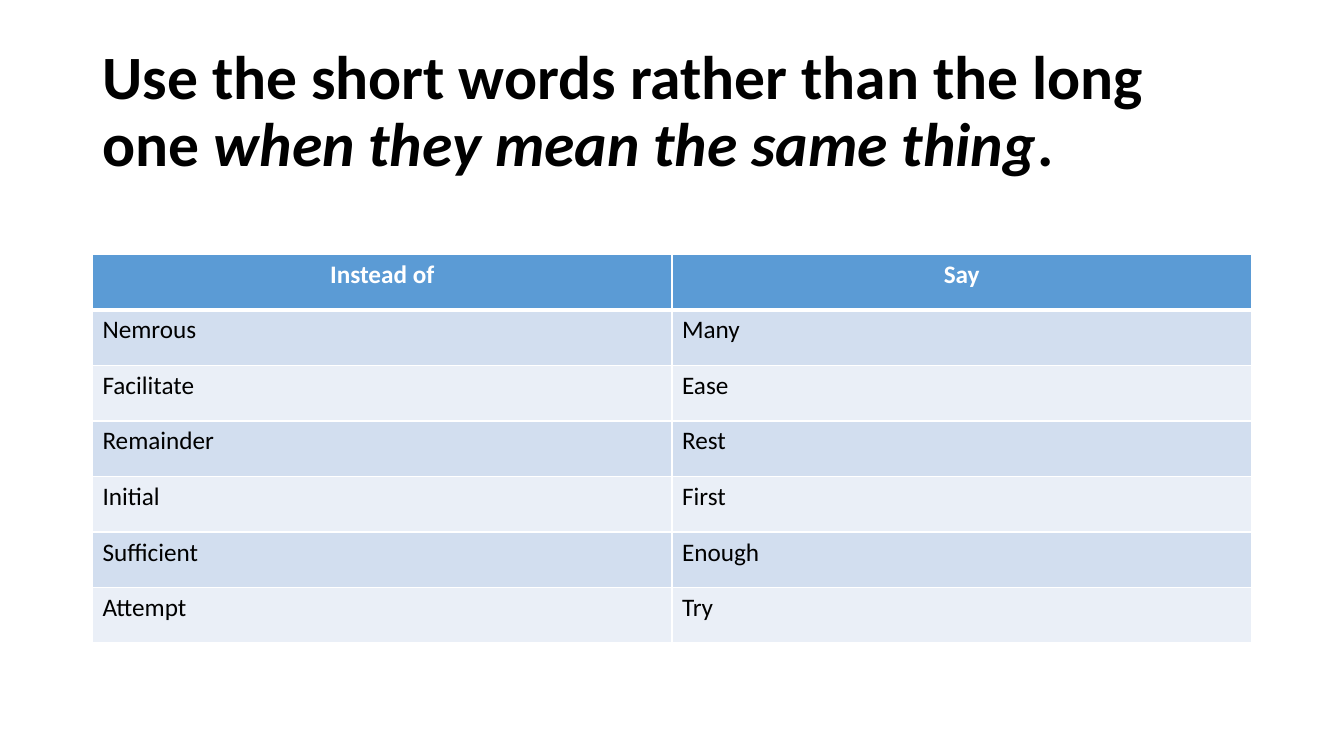
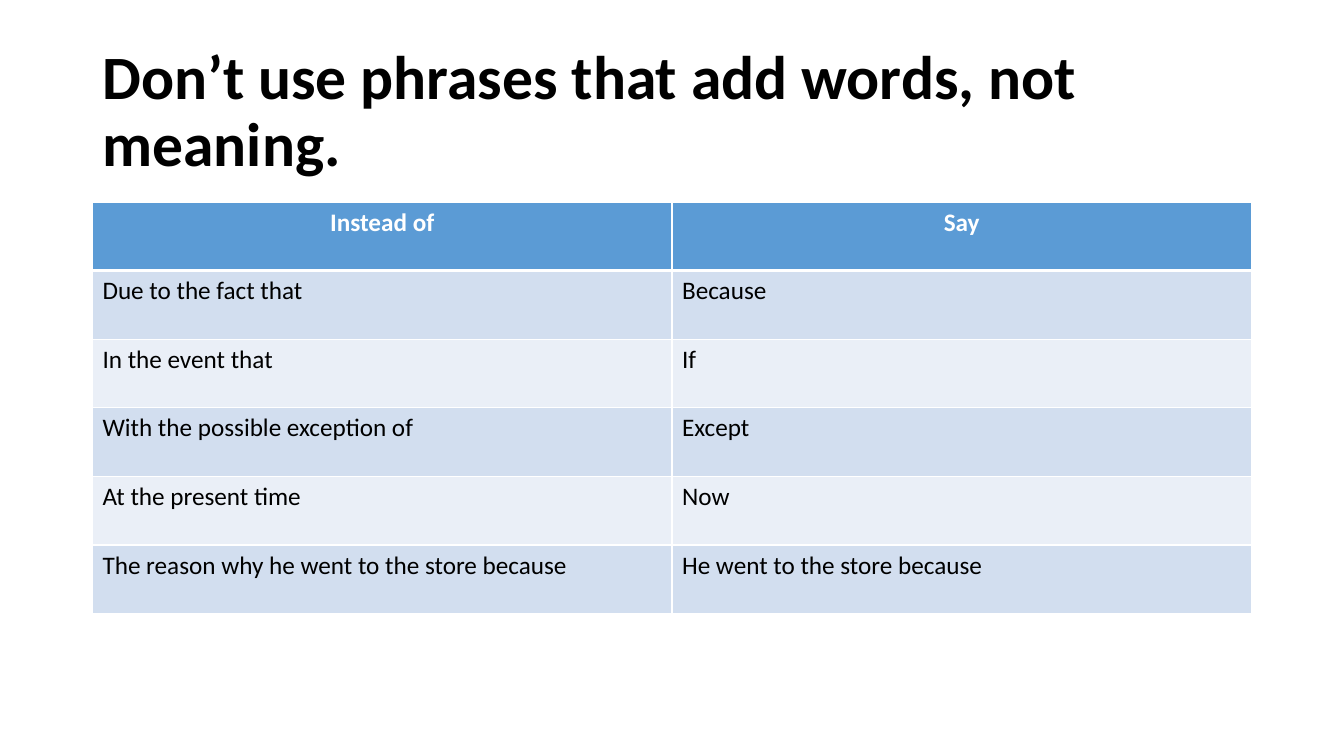
"""Build two slides that pair wordy phrases with plain ones."""
from dataclasses import dataclass

from lxml import etree
from pptx import Presentation
from pptx import util as u
from pptx.dml.color import RGBColor
from pptx.enum import text
from pptx.oxml import ns


@dataclass(frozen=True)
class Theme:
    """Colours, type and line widths of the deck."""
    face: str = "Calibri"
    ink: str = "000000"
    paper: str = "FFFFFF"
    head: str = "5B9BD5"
    bands: tuple = ("D2DEEF", "EAEFF7")
    big: int = 44
    body: int = 18
    thin: int = 1
    thick: int = 3


@dataclass(frozen=True)
class Box:
    """A region of a slide in centimetres."""
    left: float
    top: float
    width: float
    height: float

    def place(self):
        """Return the four lengths of the region."""
        return [u.Cm(v) for v in (self.left, self.top, self.width, self.height)]


THEME = Theme()
LEFT, WIDTH = 2.33, 29.21
TITLE = Box(LEFT, 1.01, WIDTH, 3.68)
HEADS = ("Instead of", "Say")
SLIDES = [
    {
        "title": [("Use the short words rather than the long one ", False),
                  ("when they mean the same thing", True), (".", False)],
        "top": 6.41,
        "step": 1.4,
        "pairs": [("Nemrous", "Many"), ("Facilitate", "Ease"),
                  ("Remainder", "Rest"), ("Initial", "First"),
                  ("Sufficient", "Enough"), ("Attempt", "Try")],
    },
    {
        "title": [("Don’t use phrases that add words, not meaning.", False)],
        "top": 5.09,
        "step": 1.73,
        "pairs": [("Due to the fact that", "Because"),
                  ("In the event that", "If"),
                  ("With the possible exception of", "Except"),
                  ("At the present time", "Now"),
                  ("The reason why he went to the store because",
                   "He went to the store because")],
    },
]


def apply(item, values):
    """Set each named value on an object."""
    for name, value in values.items():
        setattr(item, name, value)


def style(run, size, color, **look):
    """Give a run its face, size, colour and emphasis."""
    apply(run.font, {"name": THEME.face, "size": u.Pt(size), **look})
    run.font.color.rgb = RGBColor.from_string(color)


def edge(cell, sides):
    """Draw the cell borders, given as point widths by side."""
    props = cell._tc.get_or_add_tcPr()
    for spot, (side, width) in enumerate(sides.items()):
        line = etree.Element(ns.qn(f"a:ln{side}"), w=str(u.Pt(width)))
        fill = etree.SubElement(line, ns.qn("a:solidFill"))
        etree.SubElement(fill, ns.qn("a:srgbClr"), val=THEME.paper)
        props.insert(spot, line)


def add_title(slide, box, parts):
    """Place and fill the title placeholder."""
    title = slide.shapes.title
    apply(title, dict(zip(("left", "top", "width", "height"), box.place())))
    frame = title.text_frame
    apply(frame, {"word_wrap": True, "auto_size": text.MSO_AUTO_SIZE.NONE,
                  "vertical_anchor": text.MSO_ANCHOR.MIDDLE})
    para = frame.paragraphs[0]
    apply(para, {"alignment": text.PP_ALIGN.LEFT, "line_spacing": 0.9})
    for words, slant in parts:
        run = para.add_run()
        run.text = words
        style(run, THEME.big, THEME.ink, bold=True, italic=slant)


def fill_cell(cell, words, row):
    """Write and colour one cell according to its row."""
    head = row == 0
    fill = THEME.head if head else THEME.bands[(row - 1) % 2]
    cell.fill.solid()
    cell.fill.fore_color.rgb = RGBColor.from_string(fill)
    para = cell.text_frame.paragraphs[0]
    para.alignment = text.PP_ALIGN.CENTER if head else text.PP_ALIGN.LEFT
    run = para.add_run()
    run.text = words
    style(run, THEME.body, THEME.paper if head else THEME.ink, bold=head)
    edge(cell, {"L": THEME.thin, "R": THEME.thin,
                "T": THEME.thick if row == 1 else THEME.thin,
                "B": THEME.thick if head else THEME.thin})


def add_pairs(slide, box, rows):
    """Fill the box with a table of equal rows and columns."""
    table = slide.shapes.add_table(len(rows), len(HEADS), *box.place()).table
    for col in table.columns:
        col.width = u.Cm(box.width / len(HEADS))
    for r, row in enumerate(rows):
        table.rows[r].height = u.Cm(box.height / len(rows))
        for c, words in enumerate(row):
            fill_cell(table.cell(r, c), words, r)


def add_slide(deck, data):
    """Add one slide with a title above a table of pairs."""
    slide = deck.slides.add_slide(deck.slide_layouts[5])
    rows = [HEADS, *data["pairs"]]
    add_title(slide, TITLE, data["title"])
    box = Box(LEFT, data["top"], WIDTH, data["step"] * len(rows))
    add_pairs(slide, box, rows)


def main():
    """Build and save the deck."""
    deck = Presentation()
    apply(deck, {"slide_width": u.Cm(33.87), "slide_height": u.Cm(19.05)})
    for data in SLIDES:
        add_slide(deck, data)
    deck.save("out.pptx")


if __name__ == "__main__":
    main()
